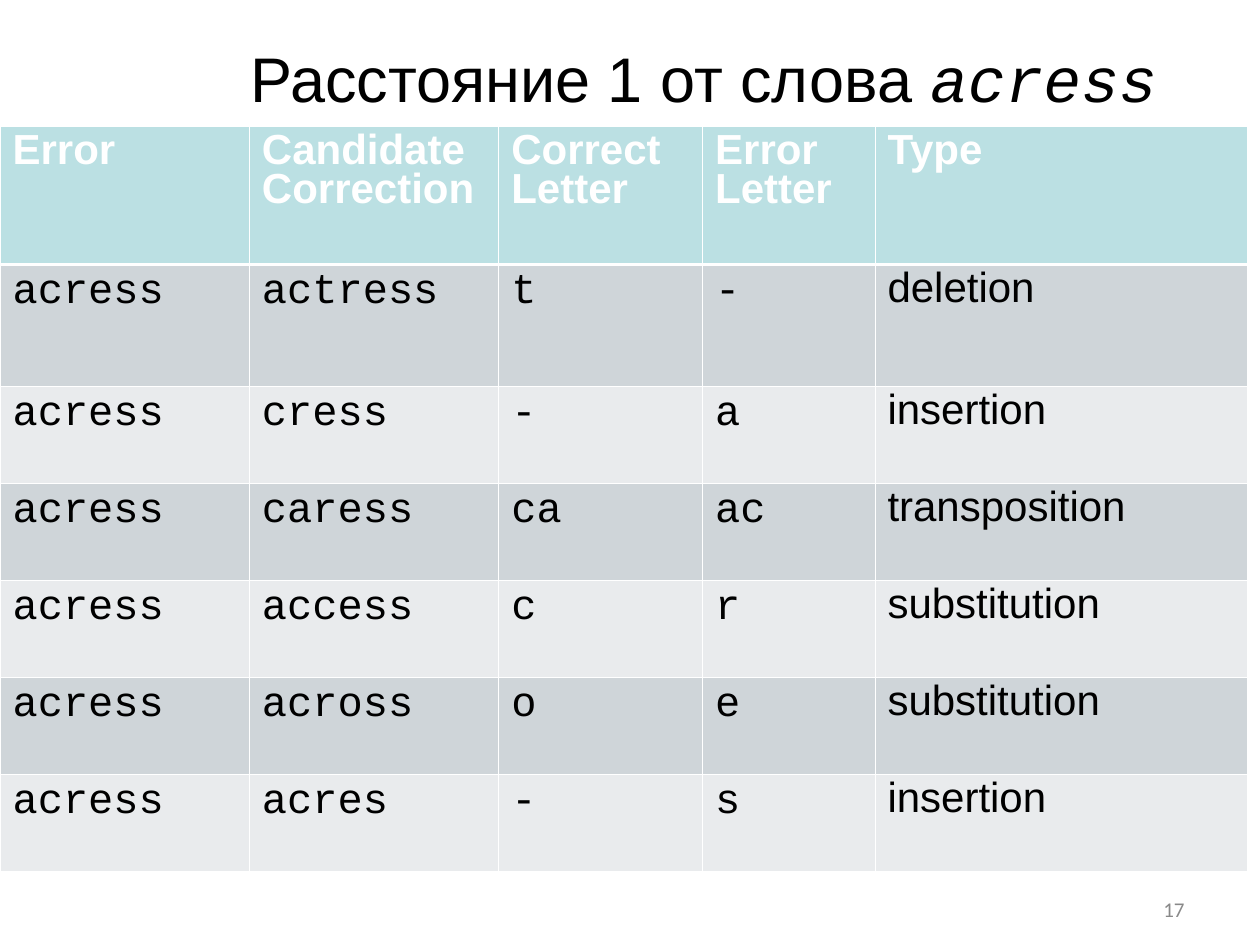
from lxml import etree
from pptx import Presentation
from pptx import util as u
from pptx.dml.color import RGBColor
from pptx.enum import text
from pptx.oxml import ns

BLACK = RGBColor(0x00, 0x00, 0x00)
WHITE = RGBColor(0xFF, 0xFF, 0xFF)
GREY = RGBColor(0x89, 0x89, 0x89)
TEAL = RGBColor(0xBB, 0xE0, 0xE3)
DARK = RGBColor(0xCF, 0xD5, 0xD9)
LIGHT = RGBColor(0xE9, 0xEB, 0xED)

HEAD = ("Error", "Candidate Correction", "Correct Letter", "Error Letter", "Type")
EDITS = (
    ("actress", "t", "-", "deletion"),
    ("cress", "-", "a", "insertion"),
    ("caress", "ca", "ac", "transposition"),
    ("access", "c", "r", "substitution"),
    ("across", "o", "e", "substitution"),
    ("acres", "-", "s", "insertion"),
)
WIDTHS = (142.5, 142.5, 116.5, 98.5, 213)
HEIGHTS = (79.2, 69.8) + (55.44,) * 5


class Deck:
    """Build a slide in one style, with lengths in points."""

    sans, mono, small = "Arial", "Courier New", "Calibri"
    thin, thick = 0.45, 1.47

    def __init__(self, wide, high):
        self.show = Presentation()
        self.show.slide_width = u.Pt(wide)
        self.show.slide_height = u.Pt(high)
        self.slide = self.show.slides.add_slide(self.show.slide_layouts[6])

    def font(self, para, name, size, color, bold=False):
        font = para.font
        font.name, font.size, font.bold = name, u.Pt(size), bold
        font.color.rgb = color

    def box(self, place, anchor, align, pad=(0, 0)):
        frame = self.slide.shapes.add_textbox(*map(u.Pt, place)).text_frame
        frame.word_wrap = True
        frame.vertical_anchor = anchor
        frame.margin_left = frame.margin_right = u.Pt(pad[0])
        frame.margin_top = frame.margin_bottom = u.Pt(pad[1])
        para = frame.paragraphs[0]
        para.alignment = align
        return para

    def title(self, words, term, place):
        para = self.box(place, text.MSO_ANCHOR.BOTTOM, text.PP_ALIGN.CENTER)
        self.font(para, self.sans, 36, BLACK)
        para.add_run().text = words
        run = para.add_run()
        run.text = term
        run.font.name, run.font.italic = self.mono, True

    def number(self, value, place):
        para = self.box(place, text.MSO_ANCHOR.MIDDLE, text.PP_ALIGN.RIGHT, (7.2, 3.6))
        para.text = value
        self.font(para, self.small, 12, GREY)

    def border(self, cell, side, width):
        props = cell._tc.get_or_add_tcPr()
        line = etree.SubElement(props, ns.qn("a:ln" + side), w=str(u.Pt(width)))
        fill = etree.SubElement(line, ns.qn("a:solidFill"))
        etree.SubElement(fill, ns.qn("a:srgbClr"), val=str(WHITE))

    def cell(self, cell, words, row, last):
        for side in "LRTB":
            rule = (row, side) in ((0, "B"), (1, "T"))
            self.border(cell, side, self.thick if rule else self.thin)
        cell.fill.solid()
        cell.fill.fore_color.rgb = TEAL if row == 0 else (LIGHT, DARK)[row % 2]
        para = cell.text_frame.paragraphs[0]
        para.text = words
        para.line_spacing = 0.85
        name = self.sans if row == 0 or last else self.mono
        self.font(para, name, 24, BLACK if row else WHITE, row == 0)

    def table(self, rows, left, top, widths, heights):
        size = (left, top, sum(widths), sum(heights))
        grid = self.slide.shapes.add_table(
            len(rows), len(widths), *map(u.Pt, size)
        ).table
        for col, width in zip(grid.columns, widths):
            col.width = u.Pt(width)
        for line, height in zip(grid.rows, heights):
            line.height = u.Pt(height)
        for r, row in enumerate(rows):
            for c, words in enumerate(row):
                self.cell(grid.cell(r, c), words, r, c == len(row) - 1)


def main():
    deck = Deck(720, 540)
    deck.title("Расстояние 1 от слова ", "acress", (108, -12.24, 588.24, 77.76))
    rows = [HEAD] + [("acress",) + edit for edit in EDITS]
    deck.table(rows, 0, 72, WIDTHS, HEIGHTS)
    deck.number("17", (516, 510, 168, 19.5))
    deck.show.save("out.pptx")


if __name__ == "__main__":
    main()
